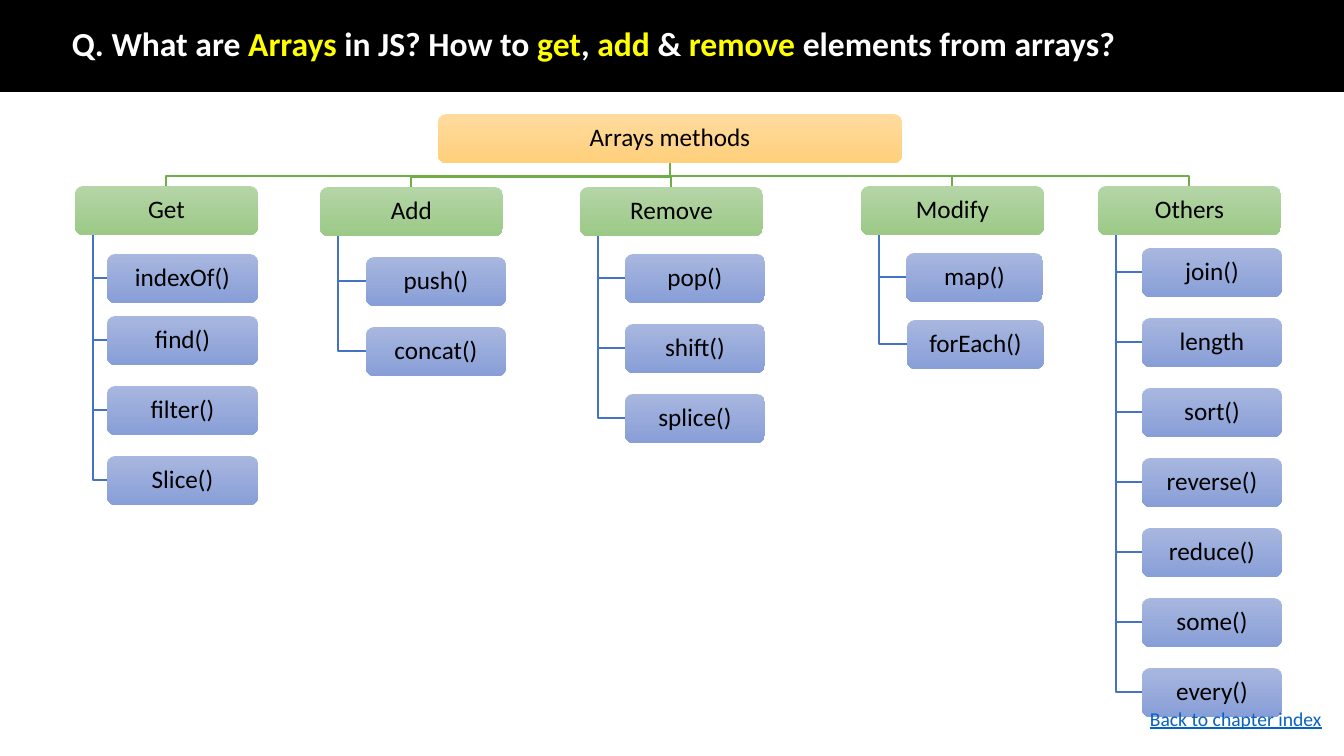
from pptx import Presentation
from pptx.dml.color import RGBColor
from pptx.enum.shapes import MSO_SHAPE
from pptx.enum.text import MSO_ANCHOR, PP_ALIGN
from pptx.util import Emu, Pt

RECTANGLE = MSO_SHAPE.RECTANGLE
ROUNDED_BOX = MSO_SHAPE.FLOWCHART_ALTERNATE_PROCESS
MIDDLE = MSO_ANCHOR.MIDDLE
CENTER = PP_ALIGN.CENTER

EMU_PER_PX = 914400 / 100.8
SLIDE_WIDTH, SLIDE_HEIGHT = 1344, 756

BLACK = RGBColor(0x00, 0x00, 0x00)
WHITE = RGBColor(0xFF, 0xFF, 0xFF)
YELLOW = RGBColor(0xFF, 0xFF, 0x00)
LINK_BLUE = RGBColor(0x05, 0x63, 0xC1)
BLUE_LINE = RGBColor(0x44, 0x72, 0xC4)
GREEN_LINE = RGBColor(0x70, 0xAD, 0x47)
ORANGE_FILL = RGBColor(0xFF, 0xDB, 0x9E), RGBColor(0xFF, 0xD0, 0x7C)
GREEN_FILL = RGBColor(0xB5, 0xD5, 0xA7), RGBColor(0x9C, 0xC9, 0x87)
BLUE_FILL = RGBColor(0xA8, 0xB7, 0xDF), RGBColor(0x88, 0x9E, 0xD7)

BOX_HEIGHT = 49
HALF_BOX = BOX_HEIGHT // 2
ROOT_LEFT, ROOT_TOP, ROOT_WIDTH = 438, 114, 464
GROUP_WIDTH = 183
STEM_INSET = 18
BUS_GAP = 10

GROUPS = [
    ("Get", 75, 186, 151, [("indexOf()", 107, 254), ("find()", 107, 316),
                           ("filter()", 107, 386), ("Slice()", 107, 456)]),
    ("Add", 320, 187, 140, [("push()", 366, 257), ("concat()", 366, 327)]),
    ("Remove", 580, 187, 140, [("pop()", 625, 254), ("shift()", 625, 324),
                               ("splice()", 625, 394)]),
    ("Modify", 861, 186, 137, [("map()", 906, 253), ("forEach()", 907, 320)]),
    ("Others", 1098, 186, 140, [
        (name, 1142, 248 + 70 * row) for row, name in enumerate(
            ["join()", "length", "sort()", "reverse()", "reduce()", "some()", "every()"])]),
]

TITLE = [
    ("Q. What are ", WHITE), ("Arrays", YELLOW), (" in JS? How to ", WHITE),
    ("get", YELLOW), (", ", WHITE), ("add", YELLOW), (" & ", WHITE),
    ("remove", YELLOW), (" elements from arrays?", WHITE),
]


def px(length):
    return Emu(round(length * EMU_PER_PX))


class SlideBuilder:
    font_name = "Calibri"
    line_width = Pt(1)
    line_spacing = 0.9

    def __init__(self, slide):
        self.slide = slide

    def style_run(self, run, size, color, bold=False, underline=False):
        run.font.name = self.font_name
        run.font.size = Pt(size)
        run.font.color.rgb = color
        run.font.bold = bold
        run.font.underline = underline

    def banner(self, left, top, width, height):
        shape = self.slide.shapes.add_shape(
            RECTANGLE, px(left), px(top), px(width), px(height))
        shape.shadow.inherit = False
        shape.fill.solid()
        shape.fill.fore_color.rgb = BLACK
        shape.line.color.rgb = BLACK
        shape.line.width = self.line_width

    def text(self, left, top, width, height, parts, size, bold=False, underline=False):
        box = self.slide.shapes.add_textbox(px(left), px(top), px(width), px(height))
        frame = box.text_frame
        frame.word_wrap = True
        frame.vertical_anchor = MIDDLE
        paragraph = frame.paragraphs[0]
        paragraph.line_spacing = self.line_spacing
        for words, color in parts:
            run = paragraph.add_run()
            run.text = words
            self.style_run(run, size, color, bold, underline)

    def box(self, left, top, width, label, colors):
        shape = self.slide.shapes.add_shape(
            ROUNDED_BOX, px(left), px(top), px(width), px(BOX_HEIGHT))
        shape.shadow.inherit = False
        shape.fill.gradient()
        shape.fill.gradient_angle = 270
        for stop, color in zip(shape.fill.gradient_stops, colors):
            stop.color.rgb = color
        shape.line.fill.background()
        frame = shape.text_frame
        frame.text = label
        frame.word_wrap = True
        frame.vertical_anchor = MIDDLE
        frame.margin_left = frame.margin_right = px(3)
        frame.margin_top = frame.margin_bottom = px(3)
        paragraph = frame.paragraphs[0]
        paragraph.alignment = CENTER
        paragraph.line_spacing = self.line_spacing
        self.style_run(paragraph.runs[0], 18, BLACK)

    def elbow(self, points, color):
        freeform = self.slide.shapes.build_freeform(*points[0], scale=EMU_PER_PX)
        freeform.add_line_segments(points[1:], close=False)
        shape = freeform.convert_to_shape()
        shape.shadow.inherit = False
        shape.fill.background()
        shape.line.color.rgb = color
        shape.line.width = self.line_width


def main():
    presentation = Presentation()
    presentation.slide_width = px(SLIDE_WIDTH)
    presentation.slide_height = px(SLIDE_HEIGHT)
    builder = SlideBuilder(presentation.slides.add_slide(presentation.slide_layouts[6]))

    builder.banner(0, -1, SLIDE_WIDTH, 92)
    builder.text(62, 28, 1159, 35, TITLE, 24, bold=True)

    root_center = ROOT_LEFT + ROOT_WIDTH // 2
    root_bottom = ROOT_TOP + BOX_HEIGHT
    for _, left, top, _, methods in GROUPS:
        center, bus = left + GROUP_WIDTH // 2, top - BUS_GAP
        builder.elbow([(root_center, root_bottom), (root_center, bus),
                       (center, bus), (center, top)], GREEN_LINE)
        stem = left + STEM_INSET
        for _, method_left, method_top in methods:
            middle = method_top + HALF_BOX
            builder.elbow([(stem, top + BOX_HEIGHT), (stem, middle),
                           (method_left, middle)], BLUE_LINE)

    builder.box(ROOT_LEFT, ROOT_TOP, ROOT_WIDTH, "Arrays methods", ORANGE_FILL)
    for group, left, top, method_width, methods in GROUPS:
        builder.box(left, top, GROUP_WIDTH, group, GREEN_FILL)
        for method, method_left, method_top in methods:
            builder.box(method_left, method_top, method_width, method, BLUE_FILL)

    builder.text(1140, 703, 204, 34, [("Back to chapter index", LINK_BLUE)], 14,
                 underline=True)
    presentation.save("out.pptx")


if __name__ == "__main__":
    main()
